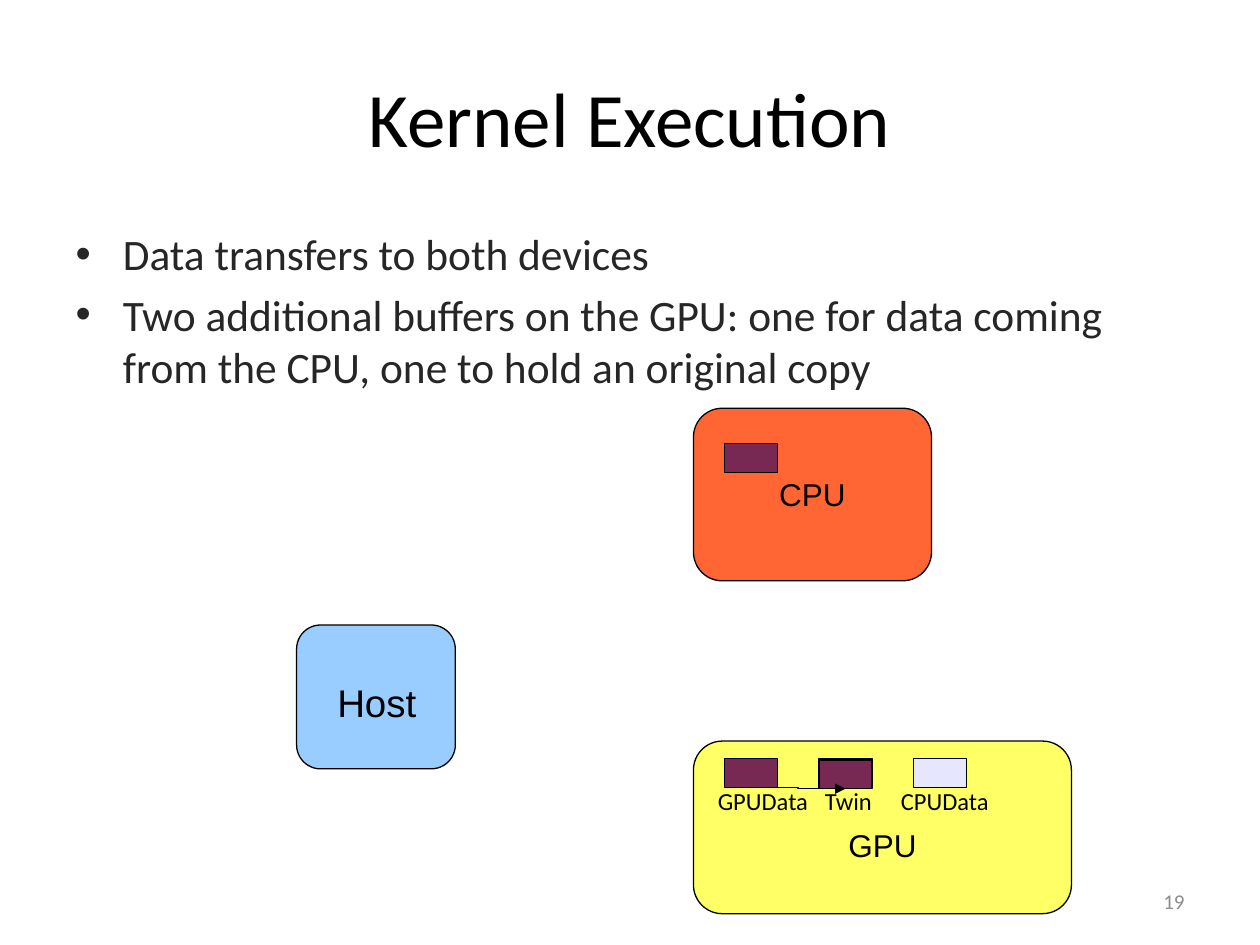
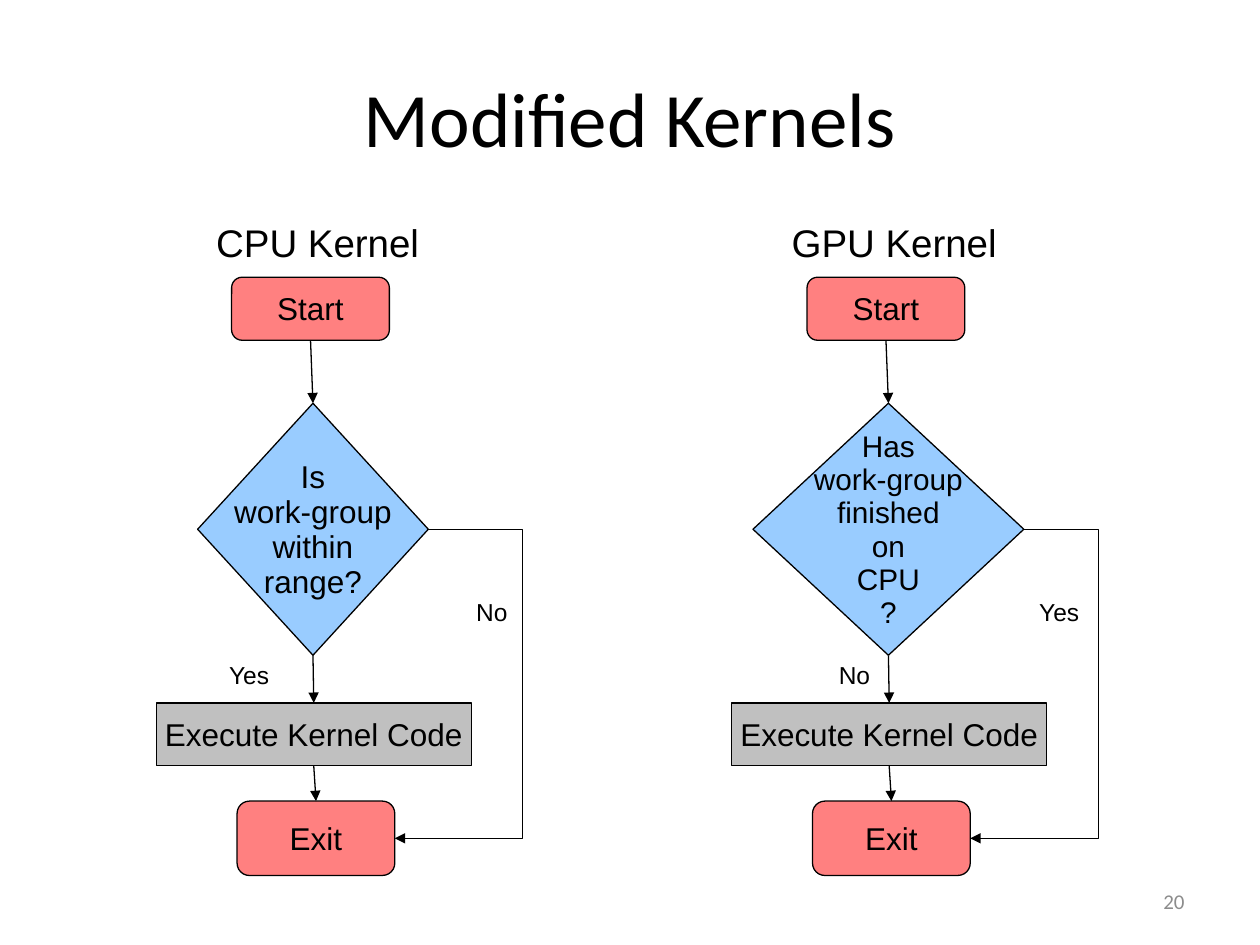
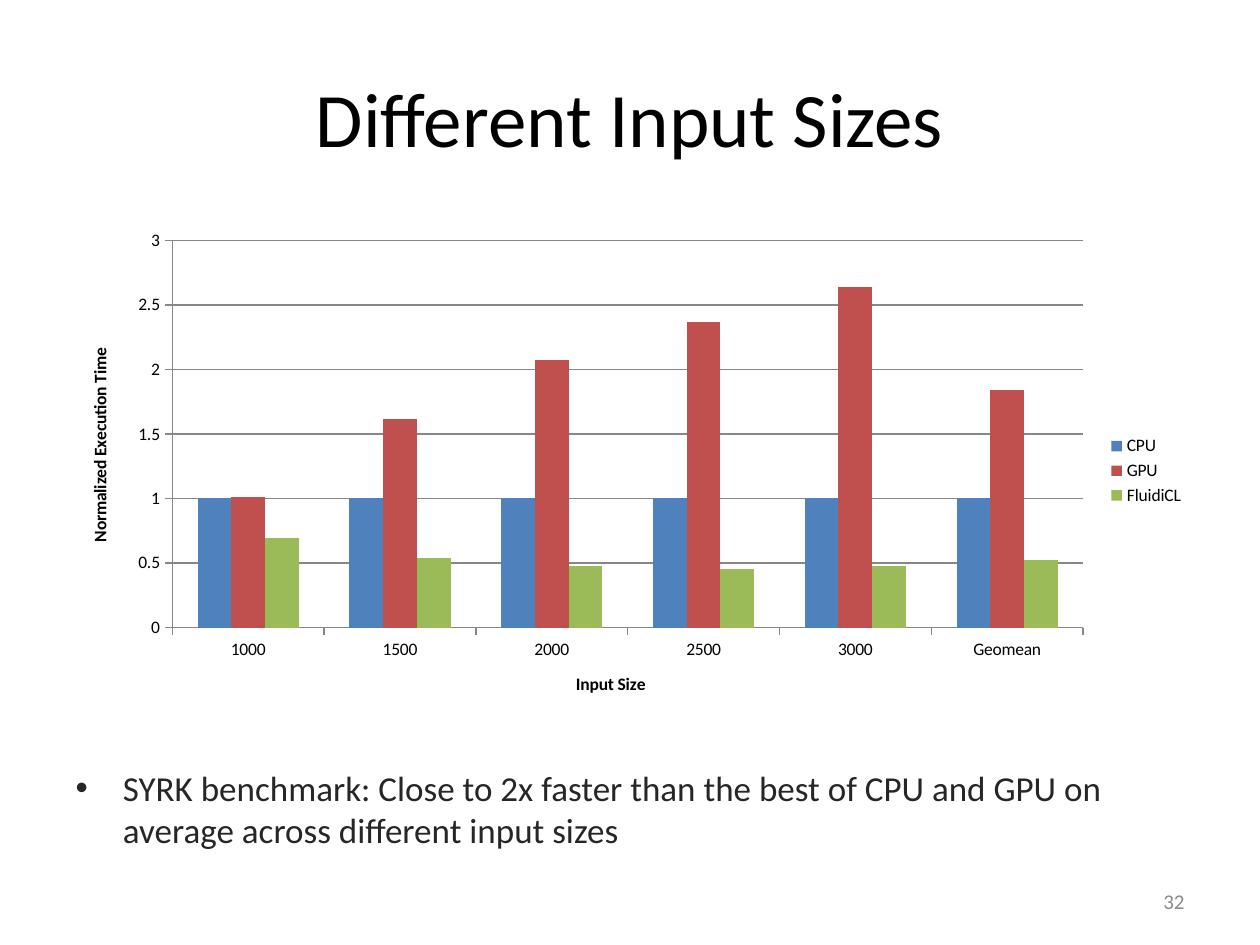
from pptx import Presentation
from pptx.chart.data import CategoryChartData
from pptx.dml.color import RGBColor
from pptx.enum.chart import XL_CHART_TYPE as CHART, XL_LEGEND_POSITION as LEGEND
from pptx.enum.shapes import MSO_CONNECTOR as LINK, MSO_SHAPE as SHAPE
from pptx.enum.text import MSO_ANCHOR as ANCHOR, MSO_AUTO_SIZE as FIT, PP_ALIGN as ALIGN
from pptx.oxml.ns import qn
from pptx.util import Cm, Pt
from lxml.etree import SubElement

HEX = {
    "black": "000000", "ink": "262626", "gray": "8C8C8C", "axis": "878787",
    "blue": "99CCFF", "orange": "FF6633", "yellow": "FFFF66", "plum": "772953",
    "pale": "E6E6FF", "rose": "FF8080", "silver": "C0C0C0",
    "CPU": "4F81BD", "GPU": "C0504D", "FluidiCL": "9BBB59",
}

# Text styles: font, size, colour, alignment, line spacing
STYLES = {
    "title": ("Calibri", 44, "black", ALIGN.CENTER, 1),
    "list": ("Calibri", 24.8, "ink", ALIGN.LEFT, 1),
    "note": ("Calibri", 20, "ink", ALIGN.LEFT, 1),
    "page": ("Calibri", 12, "gray", ALIGN.RIGHT, 1),
    "data": ("Calibri", 14, "black", ALIGN.LEFT, 1),
    "node": ("Arial", 18, "black", ALIGN.CENTER, 0.93),
    "test": ("Arial", 17, "black", ALIGN.CENTER, 0.93),
    "head": ("Arial", 22, "black", ALIGN.LEFT, 0.93),
    "edge": ("Arial", 14, "black", ALIGN.LEFT, 0.93),
}

# Content; every box is left, top, width, height in centimetres
TITLE_BOX = (1.27, 0.76, 22.86, 3.18)
PAGE_BOX = (18.2, 17.66, 5.93, 1.02)

POINTS = [
    "Data transfers to both devices",
    "Two additional buffers on the GPU: one for data coming from the CPU, "
    "one to hold an original copy",
]
POINT_BOX = (1.27, 4.45, 22.86, 3.07)
UNITS = [  # box, fill, name, top inset
    ((5.98, 12.6, 3.2, 2.9), "blue", [], 0.18),
    ((13.98, 8.23, 4.8, 3.48), "orange", ["CPU"], 0.18),
    ((13.98, 14.94, 7.62, 3.48), "yellow", ["GPU"], 0.92),
]
HOST_BOX = (6.55, 13.59, 2.13, 1.14)
BUF_X, BUF_STEP, BUF_W, BUF_H = 14.6, 1.91, 1.07, 0.58
BUFFERS = [  # column, top, fill
    (0, 8.94, "plum"), (0, 15.29, "plum"), (2, 15.29, "pale"),
    (1, 15.29, "pale"), (1, 15.32, "plum"),
]
TAGS = [("Twin", 16.38, 1.47), ("CPUData", 17.91, 2.31), ("GPUData", 14.22, 2.36)]
TAG_TOP, TAG_H = 15.72, 0.86

FLOWS = [
    dict(head="CPU Kernel", ask=["Is", "work-group", "within", "range?"],
         style="node", wide=4.65, down=("Yes", 4.37), out=("No", 9.35)),
    dict(head="GPU Kernel", ask=["Has", "work-group", "finished", "on", "CPU", "?"],
         style="test", wide=5.46, down=("No", 5.06), out=("Yes", 9.1)),
]
FLOW_STEP, ASK_MID, TURN = 11.6, 6.31, 10.54

SIZES = ["1000", "1500", "2000", "2500", "3000", "Geomean"]
TIMES = {
    "CPU": (1, 1, 1, 1, 1, 1),
    "GPU": (1.01, 1.62, 2.07, 2.37, 2.64, 1.84),
    "FluidiCL": (0.69, 0.54, 0.48, 0.45, 0.48, 0.52),
}
CHART_BOX = (1.27, 4.45, 22.86, 10.08)
NOTE = ["SYRK benchmark: Close to 2x faster than the best of CPU and GPU "
        "on average across different input sizes"]
NOTE_BOX = (1.27, 15.32, 22.86, 1.7)


def rgb(name):
    return RGBColor.from_string(HEX[name])


def cms(values):
    return [Cm(v) for v in values]


def style_font(font, **values):
    for key, value in values.items():
        setattr(font, key, value)


def style_line(line, color):
    line.color.rgb = rgb(color)
    line.width = Pt(0.75)


def write(shape, lines, style, **frame):
    """Fill a shape with styled paragraphs and set its frame."""
    face, size, ink, align, gap = STYLES[style]
    text = shape.text_frame
    for key, value in frame.items():
        setattr(text, key, value)
    for i, line in enumerate(lines):
        par = text.paragraphs[0] if i == 0 else text.add_paragraph()
        par.alignment, par.line_spacing = align, gap
        par.space_before = Pt(size * 0.2) if i and style == "list" else Pt(0)
        run = par.add_run()
        run.text = line
        style_font(run.font, name=face, size=Pt(size))
        run.font.color.rgb = rgb(ink)


def pads(top=0.18):
    return dict(margin_left=Cm(0.25), margin_right=Cm(0.25),
                margin_top=Cm(top), margin_bottom=Cm(0.13), word_wrap=False)


def label(slide, text, box, style, **frame):
    write(slide.shapes.add_textbox(*cms(box)), [text], style, **frame)


def block(slide, kind, box, fill, lines=(), style="node", top=0.18):
    shape = slide.shapes.add_shape(kind, *cms(box))
    shape.shadow.inherit = False
    shape.fill.solid()
    shape.fill.fore_color.rgb = rgb(fill)
    style_line(shape.line, "black")
    write(shape, lines, style, vertical_anchor=ANCHOR.MIDDLE, **pads(top))
    return shape


def arrow(slide, kind, ends):
    link = slide.shapes.add_connector(kind, *ends)
    style_line(link.line, "black")
    props = link._element.spPr
    SubElement(props.find(qn("a:ln")), qn("a:tailEnd"), type="triangle")
    SubElement(props, qn("a:effectLst"))
    return link


def join(slide, upper, lower):
    link = arrow(slide, LINK.STRAIGHT, (0, 0, 0, 0))
    link.begin_connect(upper, 2)
    link.end_connect(lower, 0)


def detour(slide, start, end, turn):
    """Bent arrow between right sides, running down at x = turn."""
    x1, x2 = start.left + start.width, end.left + end.width
    link = arrow(slide, LINK.ELBOW, (x1, start.top + start.height // 2,
                                     x2, end.top + end.height // 2))
    bend = round((Cm(turn) - x1) / (x2 - x1) * 100000)
    geom = link._element.spPr.find(qn("a:prstGeom"))
    SubElement(geom.find(qn("a:avLst")), qn("a:gd"), name="adj1", fmla=f"val {bend}")


def place(shape, box):
    shape.left, shape.top, shape.width, shape.height = cms(box)


def start_slide(deck, layout, title, page):
    slide = deck.slides.add_slide(deck.slide_layouts[layout])
    place(slide.shapes.title, TITLE_BOX)
    write(slide.shapes.title, [title], "title", vertical_anchor=ANCHOR.MIDDLE)
    label(slide, page, PAGE_BOX, "page", vertical_anchor=ANCHOR.MIDDLE, word_wrap=True)
    return slide


def fill_body(slide, lines, box, style):
    body = slide.placeholders[1]
    place(body, box)
    write(body, lines, style, auto_size=FIT.NONE, word_wrap=True)


def draw_units(slide):
    fill_body(slide, POINTS, POINT_BOX, "list")
    for box, fill, name, top in UNITS:
        block(slide, SHAPE.ROUNDED_RECTANGLE, box, fill, name, top=top)
    label(slide, "Host", HOST_BOX, "head", **pads())
    for col, top, fill in BUFFERS:
        box = (BUF_X + col * BUF_STEP, top, BUF_W, BUF_H)
        block(slide, SHAPE.RECTANGLE, box, fill)
    mid = BUF_X + BUF_W / 2
    arrow(slide, LINK.ELBOW, cms((mid, 15.87, mid + BUF_STEP, 15.9)))
    for text, left, width in TAGS:
        label(slide, text, (left, TAG_TOP, width, TAG_H), "data", word_wrap=False)


def draw_flow(slide, flow, dx):
    ask_x = ASK_MID - flow["wide"] / 2 + dx
    steps = [
        (SHAPE.ROUNDED_RECTANGLE, (4.67 + dx, 5.59, 3.18, 1.27), "rose", ["Start"]),
        (SHAPE.DIAMOND, (ask_x, 8.13, flow["wide"], 5.08), "blue",
         flow["ask"], flow["style"]),
        (SHAPE.RECTANGLE, (3.15 + dx, 14.17, 6.35, 1.27), "silver",
         ["Execute Kernel Code"]),
        (SHAPE.ROUNDED_RECTANGLE, (4.78 + dx, 16.15, 3.18, 1.5), "rose", ["Exit"]),
    ]
    nodes = [block(slide, *step) for step in steps]
    for upper, lower in zip(nodes, nodes[1:]):
        join(slide, upper, lower)
    detour(slide, nodes[1], nodes[3], TURN + dx)
    for (text, left), top in ((flow["down"], 13.21), (flow["out"], 11.94)):
        label(slide, text, (left + dx, top, 1.45, 0.81), "edge", **pads(0.15))
    label(slide, flow["head"], (4.11 + dx, 4.32, 4.8, 1.12), "head", **pads())


def draw_chart(slide):
    data = CategoryChartData()
    data.categories = SIZES
    for name, values in TIMES.items():
        data.add_series(name, values)
    chart = slide.shapes.add_chart(CHART.COLUMN_CLUSTERED, *cms(CHART_BOX), data).chart
    style_font(chart.font, name="Calibri", size=Pt(10))
    chart.font.color.rgb = rgb("black")
    chart.has_title = False
    chart.has_legend = True
    chart.legend.position = LEGEND.RIGHT
    chart.legend.include_in_layout = False

    plot = chart.plots[0]
    plot.gap_width, plot.vary_by_categories = 150, False
    for series in plot.series:
        series.format.fill.solid()
        series.format.fill.fore_color.rgb = rgb(series.name)

    # Axes
    scale = chart.value_axis
    scale.minimum_scale, scale.maximum_scale, scale.major_unit = 0, 3, 0.5
    style_line(scale.major_gridlines.format.line, "axis")
    titles = ((chart.category_axis, "Input Size"), (scale, "Normalized Execution Time"))
    for axis, text in titles:
        style_line(axis.format.line, "axis")
        run = axis.axis_title.text_frame.paragraphs[0].add_run()
        run.text = text
        style_font(run.font, name="Calibri", size=Pt(10), bold=True)
        run.font.color.rgb = rgb("black")


def main():
    deck = Presentation()
    deck.slide_width, deck.slide_height = Cm(25.4), Cm(19.05)
    draw_units(start_slide(deck, 1, "Kernel Execution", "19"))
    kernels = start_slide(deck, 5, "Modified Kernels", "20")
    for i, flow in enumerate(FLOWS):
        draw_flow(kernels, flow, i * FLOW_STEP)
    sizes = start_slide(deck, 1, "Different Input Sizes", "32")
    draw_chart(sizes)
    fill_body(sizes, NOTE, NOTE_BOX, "note")
    deck.save("out.pptx")


if __name__ == "__main__":
    main()
